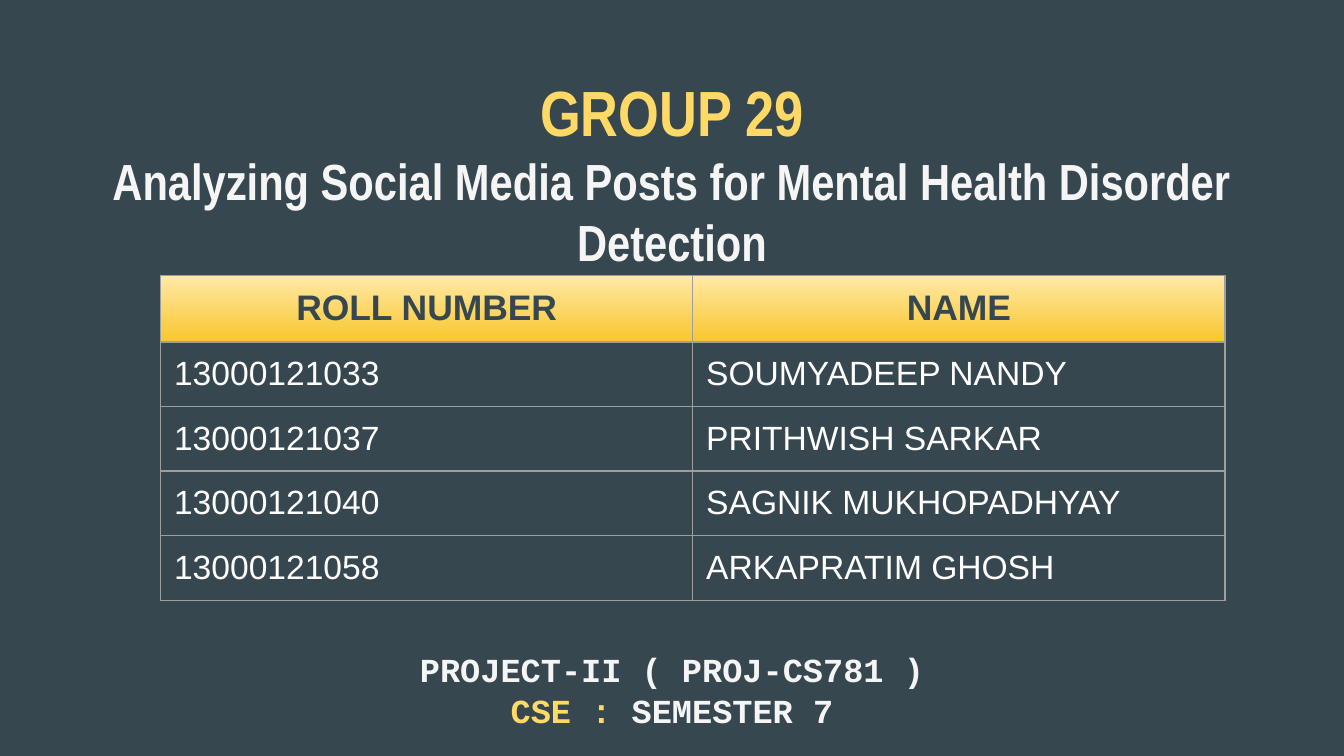
from dataclasses import dataclass

from lxml import etree
from pptx import Presentation
from pptx import util as u
from pptx.dml.color import RGBColor
from pptx.enum import text
from pptx.oxml import ns


@dataclass(frozen=True)
class Theme:
    slate: str = "37474F"
    gold: str = "FFD966"
    pale: str = "F5F5F5"
    white: str = "FFFFFF"
    rule: str = "9E9E9E"
    header_top: str = "FFE9A8"
    header_bottom: str = "F9C62C"
    title_font: str = "Arial Narrow"
    table_font: str = "Arial"
    footer_font: str = "Courier New"
    title_size: float = 34.2
    subtitle_size: float = 27.2
    header_size: float = 19
    body_size: float = 18
    rule_width: float = 0.75


THEME = Theme()
WIDTH = 10
HEIGHT = WIDTH * 9 / 16
INSET = u.Inches(0.1)
CELL_BOTTOM = u.Inches(0.08)
MEMBERS = [
    ("13000121033", "SOUMYADEEP NANDY"),
    ("13000121037", "PRITHWISH SARKAR"),
    ("13000121040", "SAGNIK MUKHOPADHYAY"),
    ("13000121058", "ARKAPRATIM GHOSH"),
]


def color(code):
    return RGBColor.from_string(code)


def share(left, top, width, height):
    """Turn percentages of the slide into a box in EMU."""
    return [u.Inches(part * side / 100) for part, side in
            ((left, WIDTH), (top, HEIGHT), (width, WIDTH), (height, HEIGHT))]


def add_span(para, words, font, size, code, bold=True):
    span = para.add_run()
    span.text = words
    span.font.name = font
    span.font.size = u.Pt(size)
    span.font.bold = bold
    span.font.color.rgb = color(code)


def add_centred_text(page, box, lines):
    """Place centred lines, each a list of (words, font, size, color) spans."""
    frame = page.shapes.add_textbox(*box).text_frame
    frame.word_wrap = True
    frame.vertical_anchor = text.MSO_ANCHOR.TOP
    frame.margin_left = frame.margin_right = INSET
    frame.margin_top = frame.margin_bottom = INSET
    for index, spans in enumerate(lines):
        para = frame.add_paragraph() if index else frame.paragraphs[0]
        para.alignment = text.PP_ALIGN.CENTER
        for span in spans:
            add_span(para, *span)


def add_borders(cell):
    properties = cell._tc.get_or_add_tcPr()
    for side in ("a:lnL", "a:lnR", "a:lnT", "a:lnB"):
        line = etree.SubElement(properties, ns.qn(side), w=str(u.Pt(THEME.rule_width)))
        fill = etree.SubElement(line, ns.qn("a:solidFill"))
        etree.SubElement(fill, ns.qn("a:srgbClr"), val=THEME.rule)


def fill_header(cell):
    cell.fill.gradient()
    cell.fill.gradient_angle = 270  # top to bottom
    for stop, code in zip(cell.fill.gradient_stops,
                          (THEME.header_top, THEME.header_bottom)):
        stop.color.rgb = color(code)


def add_heading(page, box):
    add_centred_text(page, box, [
        [("GROUP 29", THEME.title_font, THEME.title_size, THEME.gold)],
        [("Analyzing Social Media Posts for Mental Health Disorder Detection",
          THEME.title_font, THEME.subtitle_size, THEME.pale)],
    ])


def add_members(page, box):
    rows = [("ROLL NUMBER", "NAME"), *MEMBERS]
    table = page.shapes.add_table(len(rows), 2, *box).table
    table.horz_banding = False
    for r, row in enumerate(rows):
        for c, words in enumerate(row):
            cell = table.cell(r, c)
            cell.margin_left = cell.margin_right = cell.margin_top = INSET
            cell.margin_bottom = CELL_BOTTOM
            add_borders(cell)
            para = cell.text_frame.paragraphs[0]
            if r == 0:
                fill_header(cell)
                para.alignment = text.PP_ALIGN.CENTER
                add_span(para, words, THEME.table_font, THEME.header_size, THEME.slate)
            else:
                cell.fill.background()
                add_span(para, words, THEME.table_font, THEME.body_size,
                         THEME.white, bold=False)


def add_course(page, box):
    style = (THEME.footer_font, THEME.body_size)
    add_centred_text(page, box, [
        [("PROJECT-II ( PROJ-CS781 )", *style, THEME.pale)],
        [("CSE : ", *style, THEME.gold), ("SEMESTER 7", *style, THEME.pale)],
    ])


def main():
    deck = Presentation()
    deck.slide_width, deck.slide_height = u.Inches(WIDTH), u.Inches(HEIGHT)
    page = deck.slides.add_slide(deck.slide_layouts[6])
    page.background.fill.solid()
    page.background.fill.fore_color.rgb = color(THEME.slate)

    # Heading, member table and course lines, from top to bottom
    add_heading(page, share(3.4, 7.9, 93.2, 11.2))
    add_members(page, share(11.95, 36.4, 79.2, 37.4))
    add_course(page, share(2.3, 84.1, 95.4, 14.4))
    deck.save("out.pptx")


if __name__ == "__main__":
    main()
